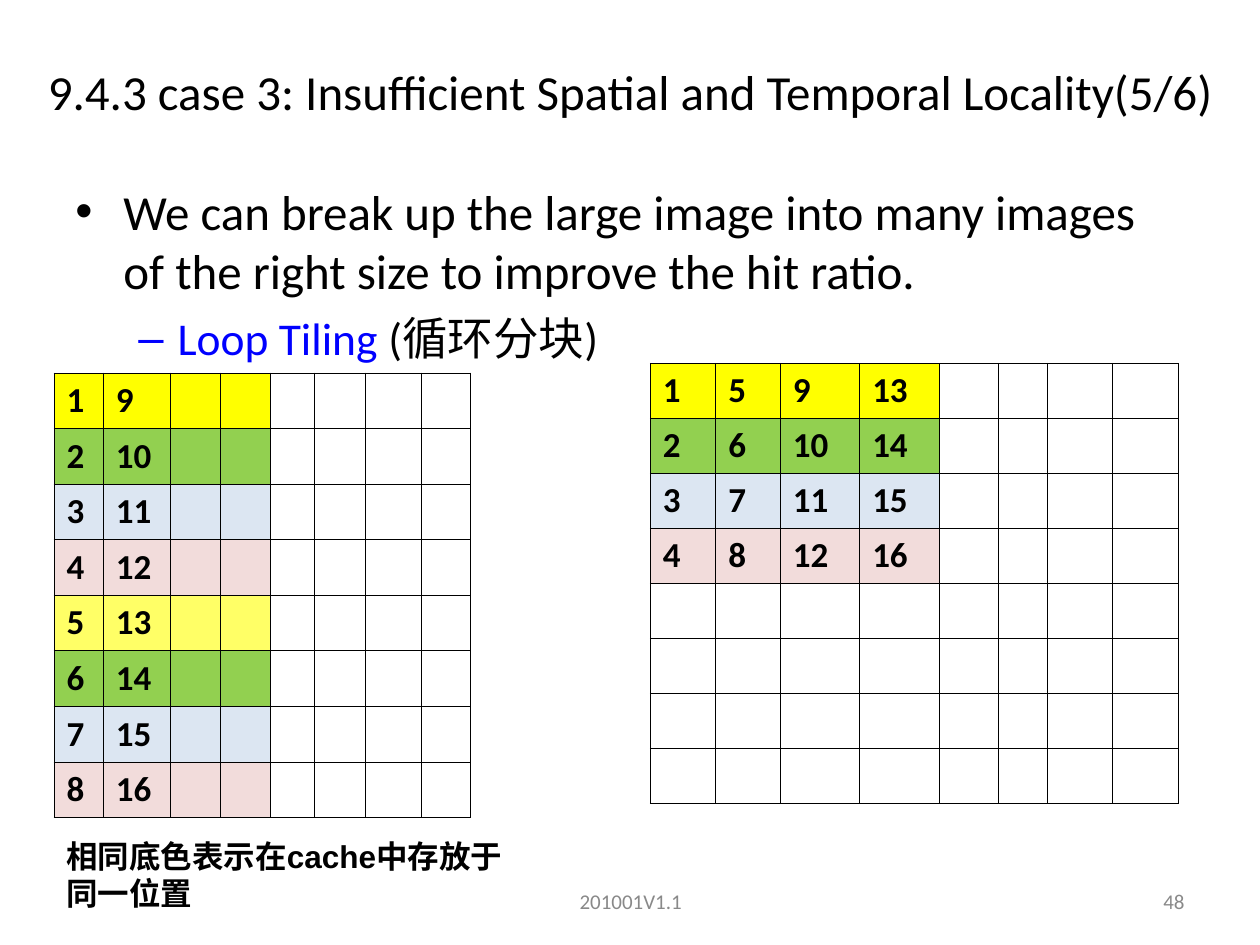
from lxml import etree
from pptx import Presentation
from pptx import util as u
from pptx.dml.color import RGBColor
from pptx.enum import text
from pptx.oxml import ns

COLORS = {"black": "000000", "blue": "0000FF", "gray": "898989", "yellow": "FFFF00",
          "lemon": "FFFF66", "green": "92D050", "ice": "DCE6F2", "rose": "F2DCDB"}
ALIGN = text.PP_ALIGN
ANCHOR = text.MSO_ANCHOR


class Deck:
    """Holds the presentation, the current slide and the text style."""

    def __init__(self, width, height, font):
        self.prs = Presentation()
        self.prs.slide_width, self.prs.slide_height = u.Cm(width), u.Cm(height)
        self.s = self.prs.slides.add_slide(self.prs.slide_layouts[5])
        self.font = font

    def color(self, name):
        return RGBColor.from_string(COLORS[name])

    def style(self, r, size, color="black", bold=False, font=None):
        f = r.font
        f.name, f.size, f.bold = font or self.font, u.Pt(size), bold
        f.color.rgb = self.color(color)

    def place(self, sp, box):
        sp.left, sp.top, sp.width, sp.height = (u.Cm(v) for v in box)

    def title(self, words, box, size):
        sp = self.s.shapes.title
        self.place(sp, box)
        tf = sp.text_frame
        tf.text = words
        tf.auto_size, tf.vertical_anchor = text.MSO_AUTO_SIZE.NONE, ANCHOR.MIDDLE
        tf.paragraphs[0].alignment = ALIGN.CENTER
        self.style(tf.paragraphs[0].runs[0], size)

    def frame(self, box, anchor=ANCHOR.TOP):
        tf = self.s.shapes.add_textbox(*(u.Cm(v) for v in box)).text_frame
        tf.word_wrap, tf.vertical_anchor = True, anchor
        return tf

    def label(self, words, box, size, align=ALIGN.LEFT, anchor=ANCHOR.TOP, **style):
        tf = self.frame(box, anchor)
        tf.text = words
        tf.paragraphs[0].alignment = align
        self.style(tf.paragraphs[0].runs[0], size, **style)

    def bullets(self, box, items):
        tf = self.frame(box)
        for i, (level, char, size, indent, hang, before, runs) in enumerate(items):
            p = tf.add_paragraph() if i else tf.paragraphs[0]
            p.level = level
            if before:
                p.space_before = u.Pt(before)
            pPr = p._p.get_or_add_pPr()
            pPr.set("marL", str(u.Cm(indent)))
            pPr.set("indent", str(-u.Cm(hang)))
            clr = etree.SubElement(pPr, ns.qn("a:buClr"))
            etree.SubElement(clr, ns.qn("a:srgbClr"), val=COLORS[runs[0][1]])
            etree.SubElement(pPr, ns.qn("a:buFont"), typeface="Arial")
            etree.SubElement(pPr, ns.qn("a:buChar"), char=char)
            for words, color in runs:
                r = p.add_run()
                r.text = words
                self.style(r, size, color)

    def border(self, cell, width):
        tcPr = cell._tc.get_or_add_tcPr()
        for side in ("lnL", "lnR", "lnT", "lnB"):
            ln = etree.SubElement(tcPr, ns.qn("a:" + side), w=str(u.Pt(width)))
            fill = etree.SubElement(ln, ns.qn("a:solidFill"))
            etree.SubElement(fill, ns.qn("a:srgbClr"), val=COLORS["black"])

    def grid(self, left, top, widths, row_height, row_colors, filled, value):
        rows = 8
        table = self.s.shapes.add_table(rows, len(widths), u.Cm(left), u.Cm(top), u.Cm(sum(widths)),
                                        u.Cm(rows * row_height)).table
        table.first_row = table.horz_banding = False
        for col, width in zip(table.columns, widths):
            col.width = u.Cm(width)
        for i in range(rows):
            table.rows[i].height = u.Cm(row_height)
            for j in range(len(widths)):
                cell = table.cell(i, j)
                self.border(cell, 0.45)
                if i >= len(row_colors) or j >= filled:
                    cell.fill.background()
                    continue
                cell.fill.solid()
                cell.fill.fore_color.rgb = self.color(row_colors[i])
                number = value(i, j)
                if number:
                    cell.text_frame.text = str(number)
                    self.style(cell.text_frame.paragraphs[0].runs[0], 20, bold=True)


def main():
    deck = Deck(25.4, 19.05, "Calibri")
    deck.label("201001V1.1", (8.69, 17.65, 8.05, 1.02), 12, ALIGN.CENTER, ANCHOR.MIDDLE, color="gray")
    deck.label("48", (18.21, 17.65, 5.92, 1.02), 12, ALIGN.RIGHT, ANCHOR.MIDDLE, color="gray")
    deck.title("9.4.3 case 3: Insufficient Spatial and Temporal Locality(5/6)",
               (0, 0.76, 25.4, 2.16), 28)
    deck.bullets((1.27, 3.53, 22.86, 13.49), [
        (0, "•", 28, 0.97, 0.97, 0,
         [("We can break up the large image into many images of the right size "
           "to improve the hit ratio.", "black")]),
        (1, "–", 26, 2.06, 0.79, 6.5, [("Loop Tiling ", "blue"), ("(循环分块)", "black")]),
    ])
    tile = ["yellow", "green", "ice", "rose"]
    deck.grid(1.09, 7.52, [0.99, 1.35, 1.02, 0.99, 0.89, 1.04, 1.12, 0.99], 1.12,
              tile + ["lemon"] + tile[1:], 4, lambda i, j: 8 * j + i + 1 if j < 2 else None)
    deck.grid(13.11, 7.32, [1.32, 1.3, 1.6, 1.6, 1.19, 0.99, 1.32, 1.32], 1.11,
              tile, 4, lambda i, j: 4 * j + i + 1)
    deck.label("相同底色表示在cache中存放于同一位置", (1.09, 16.74, 9.8, 1.78), 18,
               bold=True, font="Arial")
    deck.prs.save("out.pptx")


if __name__ == "__main__":
    main()
